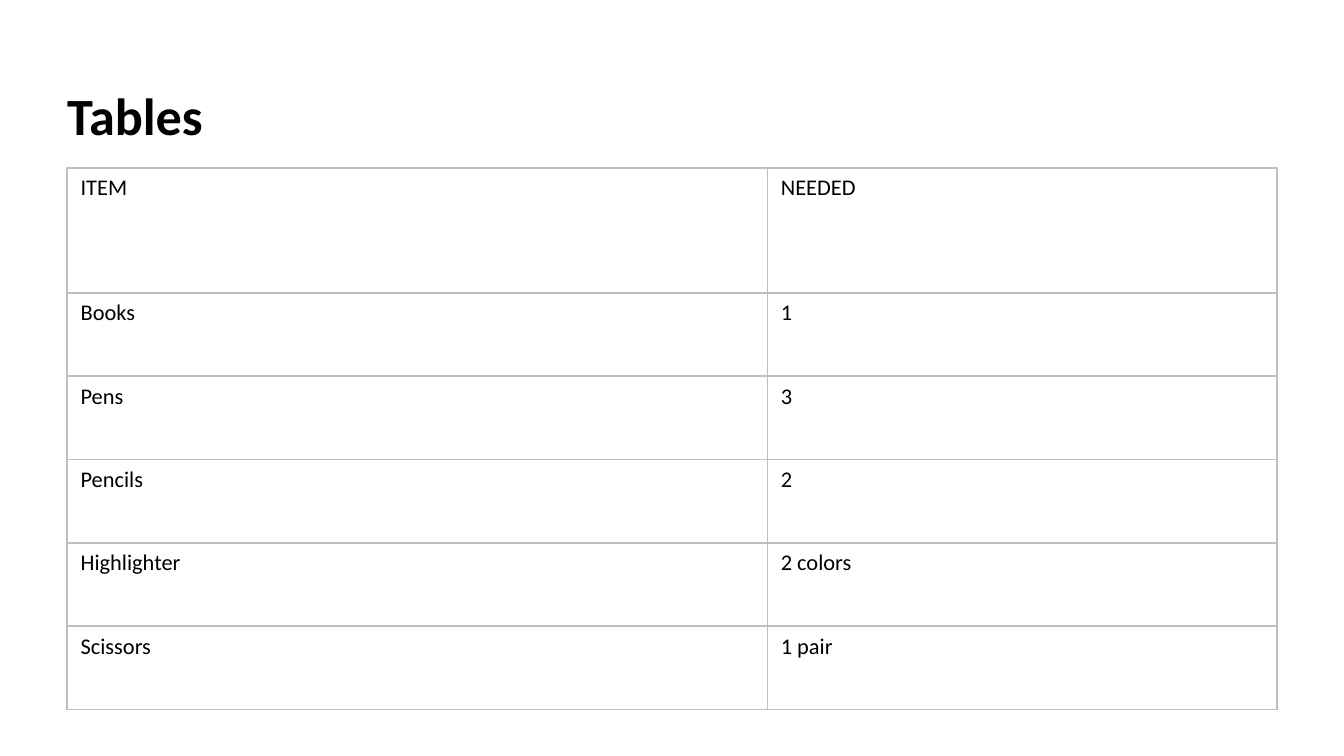
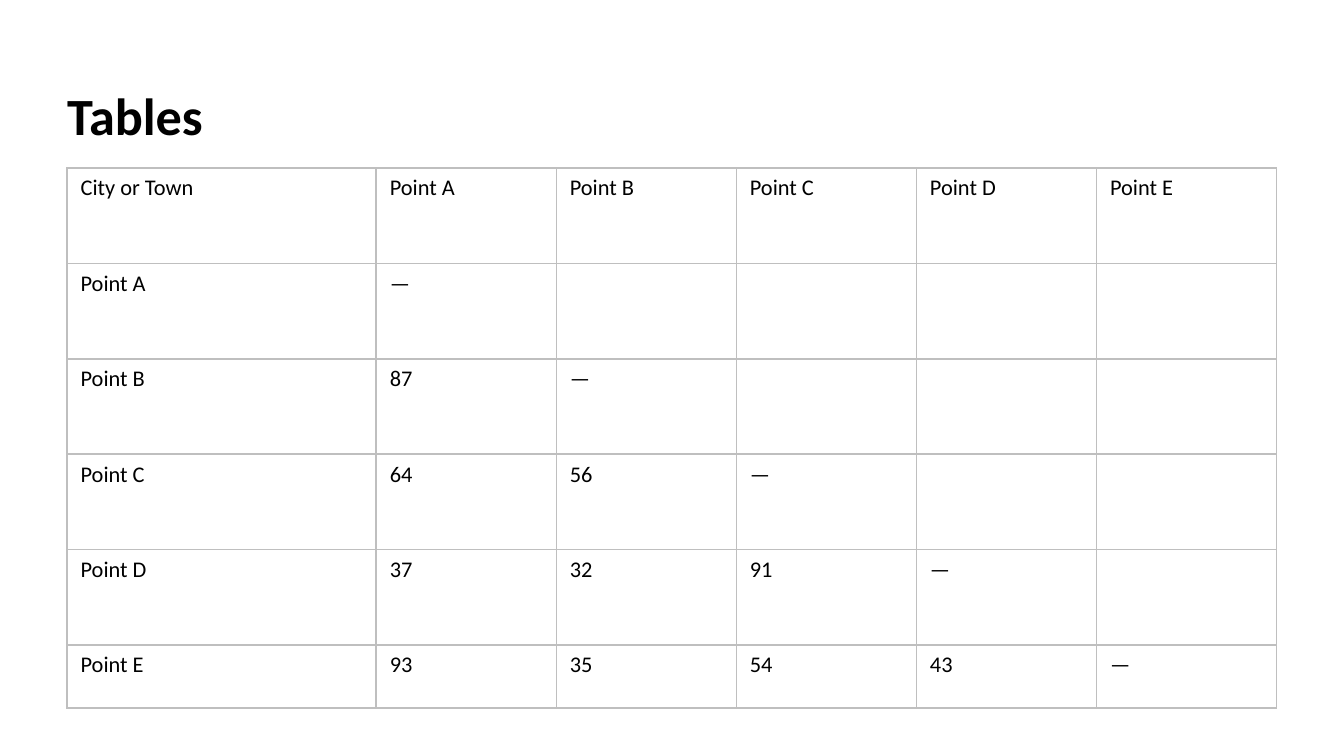
from lxml.etree import SubElement
from pptx import Presentation
from pptx.dml.color import RGBColor
from pptx.enum.text import MSO_ANCHOR, MSO_AUTO_SIZE, PP_ALIGN
from pptx.oxml.ns import qn
from pptx.util import Inches, Pt

BLACK = RGBColor(0x00, 0x00, 0x00)
BORDER_GRAY = RGBColor(0xBF, 0xBF, 0xBF)
BORDER_WIDTH = Pt(1.02)
FONT = "Calibri"
TITLE_BOX = (0.5, 0.31, 9, 0.78)
TABLE_BOX = (0.5, 1.25, 9, 4.03)

SUPPLIES = [
    ("ITEM", "NEEDED"),
    ("Books", "1"),
    ("Pens", "3"),
    ("Pencils", "2"),
    ("Highlighter", "2 colors"),
    ("Scissors", "1 pair"),
]
POINTS = ["Point A", "Point B", "Point C", "Point D", "Point E"]
DISTANCES = [[], ["87"], ["64", "56"], ["37", "32", "91"], ["93", "35", "54", "43"]]


def style_font(font, size, bold=False):
    """Apply the shared typeface and colour at the given size."""
    font.name = FONT
    font.size = Pt(size)
    font.bold = bold
    font.color.rgb = BLACK


def add_title(page, text, box):
    """Place the title placeholder in its box, resting on the bottom edge."""
    title = page.shapes.title
    title.left, title.top, title.width, title.height = map(Inches, box)
    frame = title.text_frame
    frame.text = text
    frame.word_wrap = True
    frame.auto_size = MSO_AUTO_SIZE.NONE
    frame.vertical_anchor = MSO_ANCHOR.BOTTOM
    frame.margin_left = frame.margin_top = frame.margin_right = frame.margin_bottom = 0
    para = frame.paragraphs[0]
    para.alignment = PP_ALIGN.LEFT
    style_font(para.runs[0].font, 28, bold=True)


def outline_cell(cell):
    """Draw the grey border on all four sides of a cell."""
    properties = cell._tc.get_or_add_tcPr()
    for side in ("a:lnL", "a:lnR", "a:lnT", "a:lnB"):
        line = SubElement(properties, qn(side), w=str(int(BORDER_WIDTH)))
        fill = SubElement(line, qn("a:solidFill"))
        SubElement(fill, qn("a:srgbClr"), val=str(BORDER_GRAY))


def add_grid(page, rows, widths, heights, box):
    """Fill the box with a plain bordered table of the given rows."""
    frame = page.shapes.add_table(len(rows), len(widths), *map(Inches, box))
    table = frame.table
    table.first_row = table.horz_banding = False
    for column, width in zip(table.columns, widths):
        column.width = Inches(width)
    for row, height, texts in zip(table.rows, heights, rows):
        row.height = Inches(height)
        for cell, text in zip(row.cells, texts):
            outline_cell(cell)
            cell.fill.background()
            cell.text = text
            para = cell.text_frame.paragraphs[0]
            style_font(para.font, 12)
            for span in para.runs:
                style_font(span.font, 12)


def add_table_page(deck, rows, widths, heights):
    """Add a slide with the shared title and one table."""
    page = deck.slides.add_slide(deck.slide_layouts[5])
    add_title(page, "Tables", TITLE_BOX)
    add_grid(page, rows, widths, heights, TABLE_BOX)


def distance_rows():
    """Return the triangular distance chart with a dash on its diagonal."""
    rows = [["City or Town", *POINTS]]
    for point, known in zip(POINTS, DISTANCES):
        blanks = [""] * (len(POINTS) - len(known) - 1)
        rows.append([point, *known, "—", *blanks])
    return rows


def main():
    """Build and save the two table slides."""
    deck = Presentation()
    deck.slide_width = Inches(10)
    deck.slide_height = deck.slide_width * 9 // 16
    add_table_page(deck, SUPPLIES, [5.21, 3.79], [0.93] + [0.62] * 5)
    add_table_page(deck, distance_rows(), [2.3] + [1.34] * 5, [0.71] * 5 + [0.47])
    deck.save("out.pptx")


if __name__ == "__main__":
    main()
